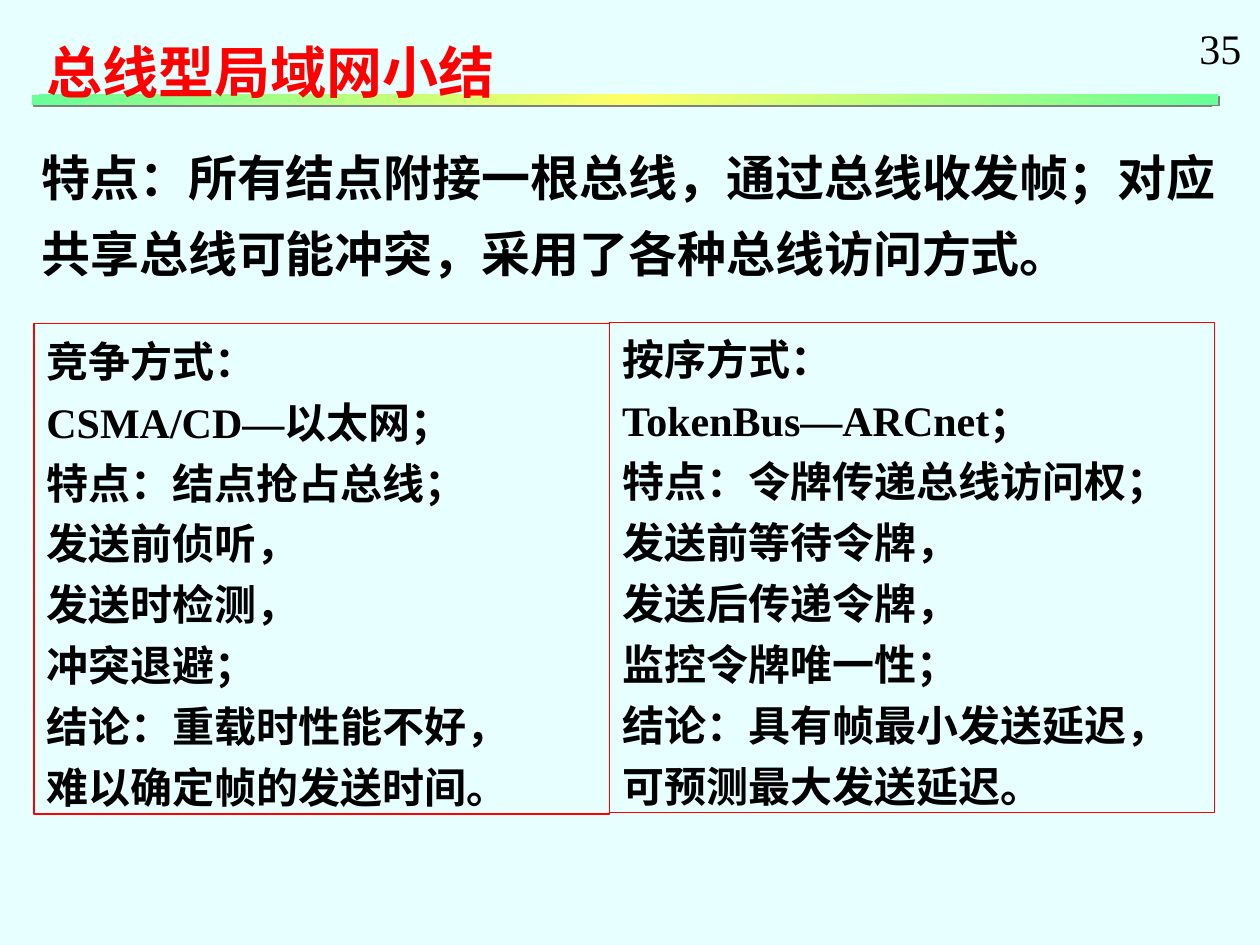
from copy import deepcopy
from lxml.etree import SubElement
from pptx import Presentation
from pptx.dml.color import RGBColor
from pptx.enum.lang import MSO_LANGUAGE_ID as Lang
from pptx.enum.shapes import MSO_SHAPE as Shape
from pptx.enum.text import MSO_ANCHOR as Anchor, PP_ALIGN as Align
from pptx.oxml.ns import qn
from pptx.util import Inches, Pt

SERIF = "Times New Roman"
SANS = "Noto Sans CJK SC"
TITLE = "总线型局域网小结"
INTRO = "特点：所有结点附接一根总线，通过总线收发帧；对应共享总线可能冲突，采用了各种总线访问方式。"
PANELS = [
    ((0.27, 2.57, 4.57, 3.89), [
        "竞争方式：",
        "CSMA/CD—以太网；",
        "特点：结点抢占总线；",
        "发送前侦听，",
        "发送时检测，",
        "冲突退避；",
        "结论：重载时性能不好，",
        "难以确定帧的发送时间。",
    ]),
    ((4.84, 2.56, 4.8, 3.89), [
        "按序方式：",
        "TokenBus—ARCnet；",
        "特点：令牌传递总线访问权；",
        "发送前等待令牌，",
        "发送后传递令牌，",
        "监控令牌唯一性；",
        "结论：具有帧最小发送延迟，",
        "可预测最大发送延迟。",
    ]),
]
STOPS = [(0, "66FF99"), (0.5, "FFFF66"), (1, "66FF99")]


def color(code):
    return RGBColor.from_string(code)


def place(shape, box):
    shape.left, shape.top, shape.width, shape.height = map(Inches, box)


def write(shape, lines, size=24, face=SERIF, ink="000000", bold=True,
          pitch=None, gap=0, top=0.09, wrap=True):
    frame = shape.text_frame
    frame.word_wrap = wrap
    frame.vertical_anchor = Anchor.TOP
    frame.margin_left = frame.margin_right = Inches(0.1)
    frame.margin_top, frame.margin_bottom = Inches(top), Inches(0.05)
    for i, line in enumerate(lines):
        para = frame.add_paragraph() if i else frame.paragraphs[0]
        para.alignment = Align.LEFT
        para.space_before = Pt(gap if i else 0)
        if pitch:
            para.line_spacing = Pt(pitch)
        run = para.add_run()
        run.text = line
        font = run.font
        font.size, font.bold, font.name = Pt(size), bold, face
        font.color.rgb = color(ink)
        font.language_id = Lang.SIMPLIFIED_CHINESE
        SubElement(font._element, qn("a:ea"), typeface=SANS)


def draw_bar(shapes):
    bar = shapes.add_shape(Shape.RECTANGLE, *map(Inches, (0.25, 0.75, 9.42, 0.08)))
    bar.line.fill.background()
    bar.fill.gradient()
    props = bar._element.spPr
    stops = props.find(".//" + qn("a:gsLst"))
    stops.append(deepcopy(stops[0]))
    for stop, (pos, code) in zip(bar.fill.gradient_stops, STOPS):
        stop.position, stop.color.rgb = pos, color(code)
    props.find(".//" + qn("a:lin")).set("ang", str(225 * 60000))
    bar.shadow.inherit = False
    shade = SubElement(props.find(qn("a:effectLst")), qn("a:outerShdw"),
                       dist=str(Pt(1.4)), dir=str(45 * 60000), algn="ctr", rotWithShape="0")
    SubElement(shade, qn("a:srgbClr"), val="808080")


def main():
    deck = Presentation()
    deck.slide_width, deck.slide_height = Inches(10), Inches(7.5)
    slide = deck.slides.add_slide(deck.slide_layouts[5])
    slide.background.fill.solid()
    slide.background.fill.fore_color.rgb = color("E7FFFF")
    shapes = slide.shapes

    number = shapes.add_textbox(*map(Inches, (9.42, 0.13, 0.53, 0.5)))
    write(number, ["35"], bold=False, top=0.05, wrap=False)
    intro = shapes.add_textbox(*map(Inches, (0.23, 0.94, 9.57, 1.32)))
    write(intro, [INTRO], size=28, face=SANS, pitch=43.5)
    draw_bar(shapes)

    title = shapes.title
    place(title, (0.27, 0.05, 4.41, 0.8))
    write(title, [TITLE], size=32, face=SANS, ink="FF0000", pitch=50)
    shapes._spTree.append(title._element)

    for box, lines in PANELS:
        panel = shapes.add_shape(Shape.RECTANGLE, *map(Inches, box))
        panel.shadow.inherit = False
        panel.fill.background()
        panel.line.color.rgb = color("FF0000")
        panel.line.width = Pt(0.75)
        write(panel, lines, pitch=28.8, gap=6)

    deck.save("out.pptx")


if __name__ == "__main__":
    main()
